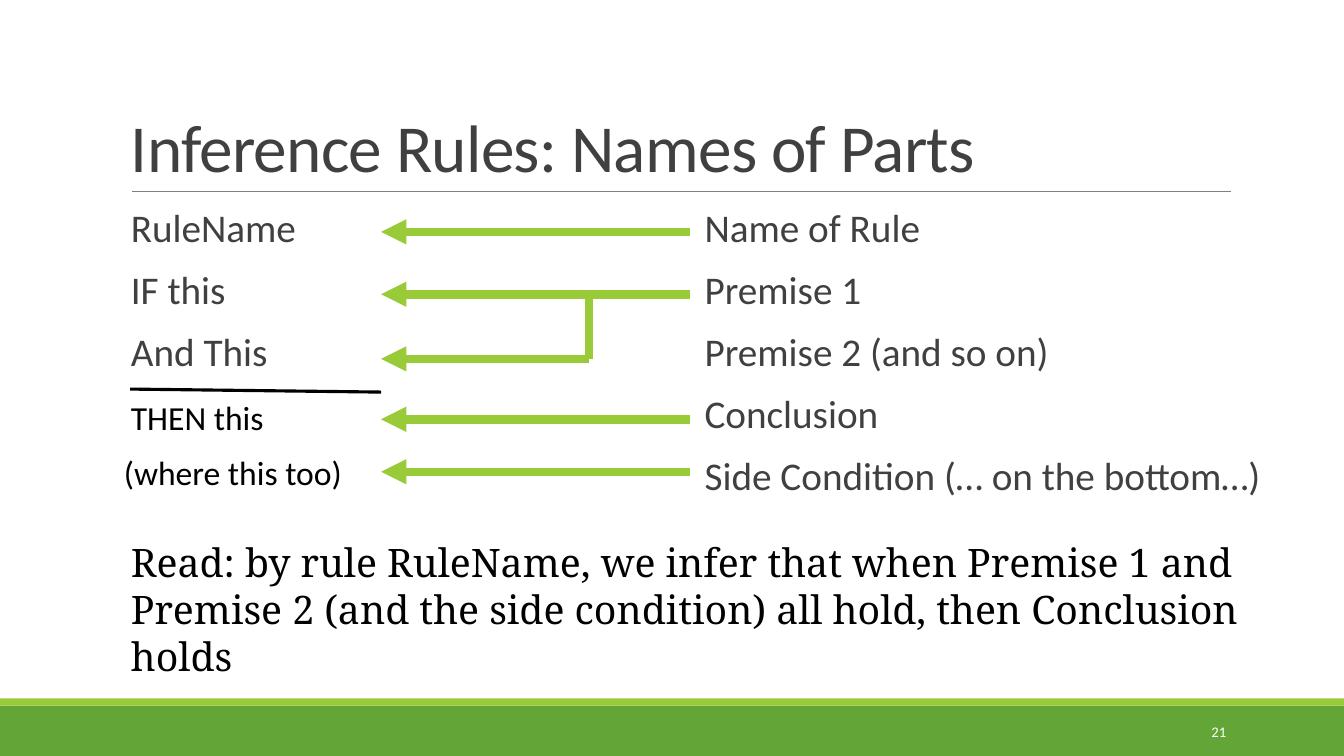
from lxml.etree import SubElement
from pptx import Presentation
from pptx.dml.color import RGBColor
from pptx.enum.shapes import MSO_CONNECTOR, MSO_SHAPE
from pptx.enum.text import MSO_ANCHOR, PP_ALIGN
from pptx.oxml.ns import qn
from pptx.util import Inches, Pt

COLORS = {
    "dark_green": "63A537",
    "green": "99CB38",
    "rule": "808080",
    "text": "404040",
    "black": "000000",
    "white": "FFFFFF",
}


def rgb(name):
    return RGBColor.from_string(COLORS[name])


def add_text(p, text, size=28, font="Calibri", color="text", spacing=None):
    r = p.add_run()
    r.text = text
    r.font.size = Pt(size)
    r.font.name = font
    r.font.color.rgb = rgb(color)
    if spacing is not None:
        r.font._element.set("spc", str(int(spacing * 100)))


class SlideBuilder:
    def __init__(self, s):
        self.s = s

    def bar(self, top, height, color):
        sp = self.s.shapes.add_shape(
            MSO_SHAPE.RECTANGLE, 0, Inches(top), Inches(13.33), Inches(height))
        sp.shadow.inherit = False
        sp.fill.solid()
        sp.fill.fore_color.rgb = rgb(color)
        sp.line.fill.background()

    def line(self, x1, y1, x2, y2, color="green", width=6, arrow=False):
        c = self.s.shapes.add_connector(
            MSO_CONNECTOR.STRAIGHT, Inches(x1), Inches(y1), Inches(x2), Inches(y2))
        c.line.color.rgb = rgb(color)
        c.line.width = Pt(width)
        if arrow:
            SubElement(c.line._get_or_add_ln(), qn("a:tailEnd"), type="triangle")
        SubElement(c._element.spPr, qn("a:effectLst"))

    def text(self, left, top, width, height, lines, anchor=MSO_ANCHOR.TOP,
             align=PP_ALIGN.LEFT, wrap=True, line_spacing=1.0, before=0, after=0,
             **style):
        sp = self.s.shapes.add_textbox(
            Inches(left), Inches(top), Inches(width), Inches(height))
        tf = sp.text_frame
        tf.word_wrap = wrap
        tf.vertical_anchor = anchor
        for i, text in enumerate(lines):
            p = tf.add_paragraph() if i else tf.paragraphs[0]
            p.alignment = align
            p.line_spacing = line_spacing
            p.space_before = Pt(before if i else 0)
            p.space_after = Pt(after)
            add_text(p, text, **style)

    def column(self, left, height, lines):
        self.text(left, 2.02, 5.73, height, lines,
                  line_spacing=0.9, before=12, after=2)


def main():
    prs = Presentation()
    prs.slide_width, prs.slide_height = Inches(13.33), Inches(7.5)
    b = SlideBuilder(prs.slides.add_slide(prs.slide_layouts[6]))

    # Footer bars and title
    b.bar(7, 0.5, "dark_green")
    b.bar(6.93, 0.07, "green")
    b.line(1.31, 1.9, 12.21, 1.9, "rule", 0.5)
    b.text(1.2, 0.31, 11, 1.59, ["Inference Rules: Names of Parts"],
           anchor=MSO_ANCHOR.BOTTOM, line_spacing=0.85, size=48, spacing=-0.5)

    # The rule, with its inference bar
    b.column(1.2, 3.19, ["RuleName", "IF this", "And This"])
    b.line(1.29, 3.86, 3.78, 3.89, "black", 2.25)
    b.text(1.2, 3.89, 1.53, 0.5, ["THEN this"], wrap=False, size=24, color="black")
    b.text(1.13, 4.43, 2.38, 0.5, ["(where this too)"], wrap=False, size=24,
           color="black")

    # Arrows from the names to the parts; the premises share a branch
    tip, start, branch = 3.78, 6.84, 5.84
    premise_1, premise_2 = 2.92, 3.56
    for y in (2.3, premise_1, premise_2, 4.16, 4.68):
        b.line(branch if y == premise_2 else start, y, tip, y, arrow=True)
    b.line(branch, premise_2, branch, premise_1)

    # Names of the parts
    b.column(6.89, 4.4, ["Name of Rule", "Premise 1", "Premise 2 (and so on)",
                         "Conclusion", "Side Condition (… on the bottom…)"])

    # Reading and slide number
    b.text(1.2, 5.29, 11.62, 1.51,
           ["Read: by rule RuleName, we infer that when Premise 1 and Premise 2 "
            "(and the side condition) all hold, then Conclusion holds"],
           font="Noto Serif", color="black")
    b.text(10.83, 7.06, 1.43, 0.4, ["21"], anchor=MSO_ANCHOR.MIDDLE,
           align=PP_ALIGN.RIGHT, size=10.5, color="white")

    prs.save("out.pptx")


if __name__ == "__main__":
    main()
